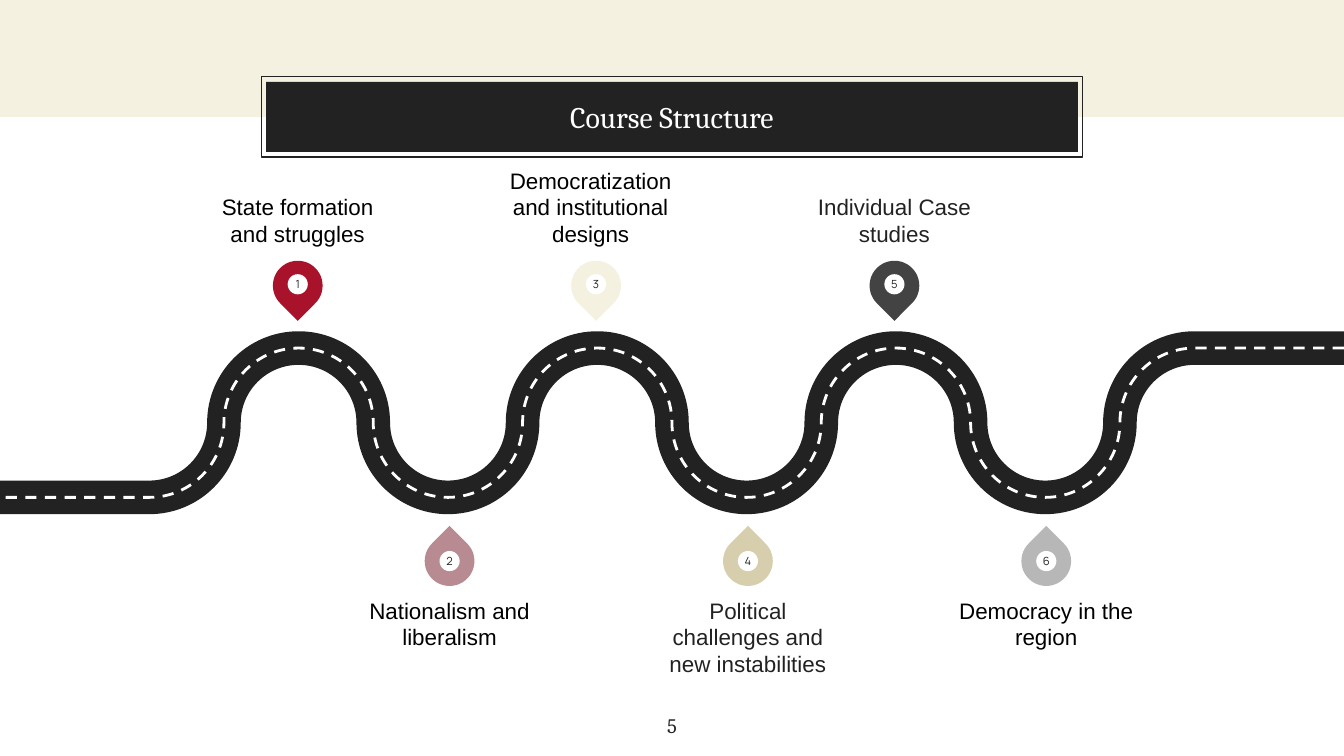
from lxml import etree
from pptx import Presentation
from pptx.dml.color import RGBColor
from pptx.enum import dml, shapes, text
from pptx.oxml.ns import qn
from pptx.util import Inches, Pt

COLORS = {
    "cream": "F5F1E0", "ink": "222222", "white": "FFFFFF", "black": "000000",
    "red": "A8122A", "rose": "B88A92", "sand": "D6CEAD",
    "charcoal": "434343", "silver": "B7B7B7",
}
WIDTH = 10
HEIGHT = WIDTH * 9 / 16
RADIUS = WIDTH / 18   # radius of every bend in the road
KAPPA = 0.5523        # Bezier handle length for a quarter circle

# number, pin colour, label, label colour, label shift from the pin's centre
STOPS = [
    ("1", "red", "State formation and struggles", "black", 0),
    ("2", "rose", "Nationalism and liberalism", "black", 0),
    ("3", "cream", "Democratization and institutional designs", "black", -0.04),
    ("4", "sand", "Political challenges and new instabilities", "ink", 0),
    ("5", "charcoal", "Individual Case studies", "ink", 0),
    ("6", "silver", "Democracy in the region", "black", 0),
]


def rgb(name):
    return RGBColor.from_string(COLORS[name])


def style_shape(sp, fill, line, width):
    sp.shadow.inherit = False
    if fill:
        sp.fill.solid()
        sp.fill.fore_color.rgb = rgb(fill)
    else:
        sp.fill.background()
    if line:
        sp.line.color.rgb = rgb(line)
        sp.line.width = Pt(width)
    else:
        sp.line.fill.background()


def add_shape(parent, kind, box, fill=None, line=None, width=0.75):
    sp = parent.add_shape(kind, *(Inches(v) for v in box))
    style_shape(sp, fill, line, width)
    return sp


def write(sp, words, font, size, color, anchor, inset=0.0, wrap=True):
    tf = sp.text_frame
    tf.word_wrap = wrap
    tf.vertical_anchor = anchor
    tf.margin_left = tf.margin_right = Inches(inset)
    tf.margin_top = tf.margin_bottom = Inches(inset)
    p = tf.paragraphs[0]
    p.alignment = text.PP_ALIGN.CENTER
    r = p.add_run()
    r.text = words
    r.font.name = font
    r.font.size = Pt(size)
    r.font.color.rgb = rgb(color)


def add_text(slide, box, *args, **kwargs):
    sp = slide.shapes.add_textbox(*(Inches(v) for v in box))
    write(sp, *args, **kwargs)


def bend_points(x, top, count):
    """Control points of quarter circles running left from (x, top)."""
    levels = [top, top + RADIUS, top + 2 * RADIUS, top + RADIUS]
    handle = KAPPA * RADIUS
    points = []
    for i in range(count):
        y0, y1 = levels[i % 4], levels[(i + 1) % 4]
        x1 = x - RADIUS
        rise = KAPPA * (y1 - y0)
        if i % 2 == 0:  # leaves level, arrives upright
            points += [(x - handle, y0), (x1, y1 - rise), (x1, y1)]
        else:           # leaves upright, arrives level
            points += [(x, y0 + rise), (x1 + handle, y1), (x1, y1)]
        x = x1
    return points


def add_road_line(slide, box, color, width, dash=None):
    left, top, w, h = box
    start = left + w - 2 * RADIUS
    points = [(start, top)] + bend_points(start, top, 14) + [(left, top + h)]
    fb = slide.shapes.build_freeform(Inches(left + w), Inches(top), scale=1.0)
    fb.add_line_segments([(Inches(x), Inches(y)) for x, y in points], close=False)
    sp = fb.convert_to_shape()
    style_shape(sp, None, color, width)
    if dash:
        sp.line.dash_style = dash
    # Turn each run of three bend points into one Bezier curve
    segments = list(sp._element.iter(qn("a:lnTo")))[1:-1]
    for i in range(0, len(segments), 3):
        curve = etree.Element(qn("a:cubicBezTo"))
        segments[i].addprevious(curve)
        for seg in segments[i:i + 3]:
            curve.append(seg[0])
            seg.getparent().remove(seg)


def add_road(slide, box):
    add_road_line(slide, box, "ink", 18)
    add_road_line(slide, box, "white", 1.5, dml.MSO_LINE.DASH)


def add_pin(slide, cx, top, number, color, above):
    size, dot = 0.37, 0.15
    group = slide.shapes.add_group_shape()
    drop = add_shape(group.shapes, shapes.MSO_SHAPE.TEAR,
                     (cx - size / 2, top, size, size), color)
    drop.rotation = 135 if above else 315
    disc = add_shape(group.shapes, shapes.MSO_SHAPE.OVAL,
                     (cx - dot / 2, top + (0.1 if above else 0.11), dot, dot), "white")
    write(disc, number, "Manrope", 6, "ink", text.MSO_ANCHOR.MIDDLE, wrap=False)


def add_stops(slide, box):
    """Odd stops stand above the road, even stops below it."""
    left, top, w, h = box
    label_w, label_h = 1.41, 0.58
    for i, (number, color, label, ink, shift) in enumerate(STOPS):
        above = i % 2 == 0
        cx = left + label_w / 2 + 2.22 * (i // 2) + (0 if above else 1.13)
        pin_top = top + 0.68 if above else top + h - 1.03
        label_top = top if above else top + h - label_h
        anchor = text.MSO_ANCHOR.BOTTOM if above else text.MSO_ANCHOR.TOP
        add_pin(slide, cx, pin_top, number, color, above)
        add_text(slide, (cx + shift - label_w / 2, label_top, label_w, label_h),
                 label, "Arial", 12, ink, anchor)


def add_title(slide, box):
    left, top, w, h = box
    add_shape(slide.shapes, shapes.MSO_SHAPE.RECTANGLE, box, line="ink")
    gap_x, gap_y = 0.035, 0.04
    sp = add_shape(slide.shapes, shapes.MSO_SHAPE.RECTANGLE,
                   (left + gap_x, top + gap_y, w - 2 * gap_x, h - 2 * gap_y), "ink")
    write(sp, "Course Structure", "Cambria", 16, "white",
          text.MSO_ANCHOR.MIDDLE, inset=0.1)


def main():
    prs = Presentation()
    prs.slide_width, prs.slide_height = Inches(WIDTH), Inches(HEIGHT)
    slide = prs.slides.add_slide(prs.slide_layouts[6])

    # Header band and title
    add_shape(slide.shapes, shapes.MSO_SHAPE.RECTANGLE, (0, 0, WIDTH, 0.87), "cream")
    title_w = 6.11
    add_title(slide, ((WIDTH - title_w) / 2, 0.57, title_w, 0.6))

    # Road with its numbered stops
    add_road(slide, (0, 2.59, WIDTH, 2 * RADIUS))
    add_stops(slide, (1.51, 1.26, 6.98, 3.76))

    # Page number
    add_text(slide, (4.7, 5.21, 0.6, 0.33), "5", "Cambria", 11, "ink",
             text.MSO_ANCHOR.TOP, inset=0.1)
    prs.save("out.pptx")


if __name__ == "__main__":
    main()
